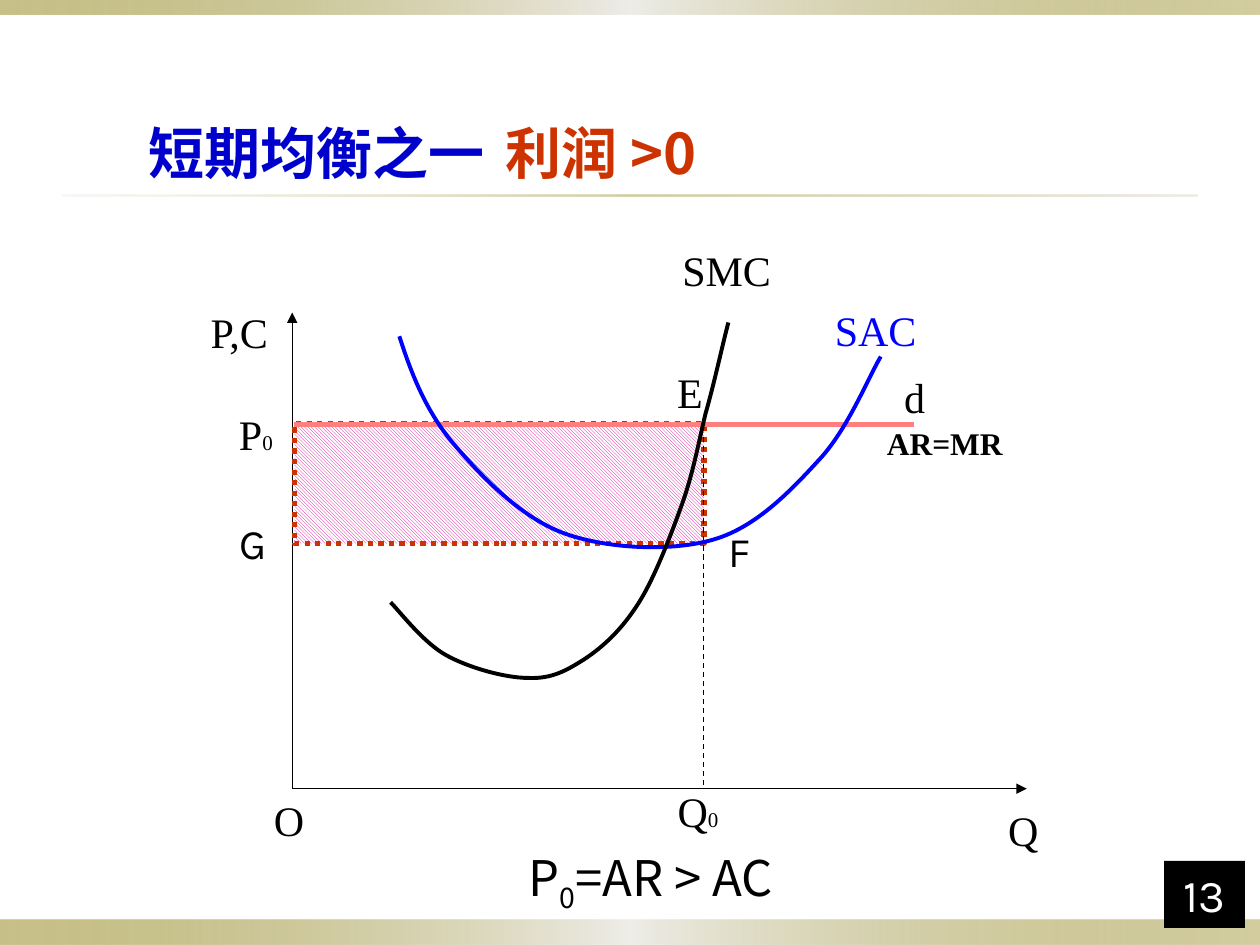
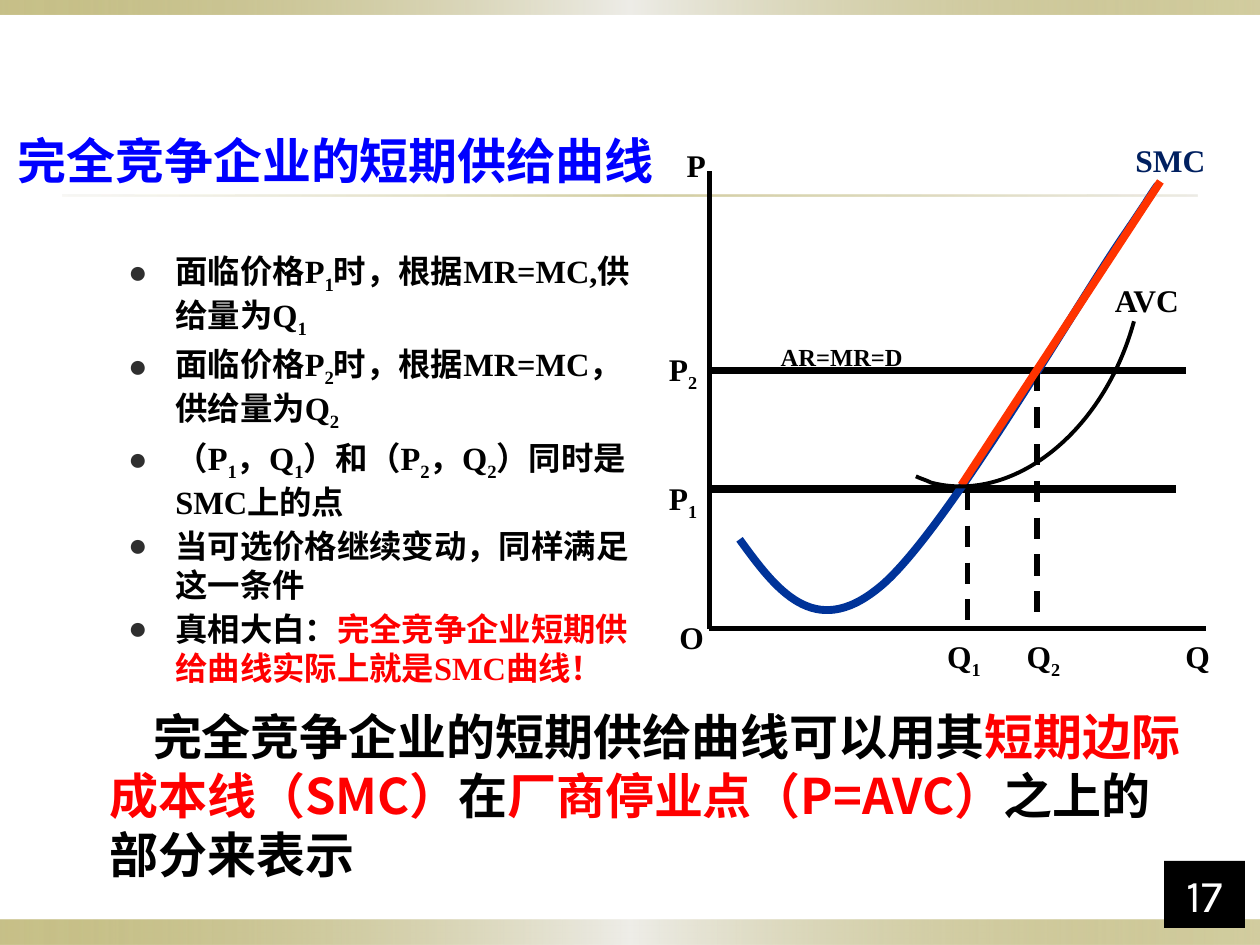
"""Build two slides on short-run equilibrium and supply under perfect competition."""
from dataclasses import dataclass, replace
from typing import NamedTuple, Optional

from lxml import etree
from pptx import Presentation
from pptx import util as u
from pptx.dml.color import RGBColor
from pptx.enum import dml, shapes, text
from pptx.oxml.ns import qn

CENTER, LEFT = text.PP_ALIGN.CENTER, text.PP_ALIGN.LEFT
MIDDLE, TOP, BOTTOM = text.MSO_ANCHOR.MIDDLE, text.MSO_ANCHOR.TOP, text.MSO_ANCHOR.BOTTOM
DASH, DOT = dml.MSO_LINE.DASH, dml.MSO_LINE.ROUND_DOT


@dataclass(frozen=True)
class Theme:
    black: str = "000000"
    white: str = "FFFFFF"
    blue: str = "0000FF"
    title_blue: str = "0000CC"
    rust: str = "CC3300"
    red: str = "FF0000"
    demand: str = "FF7F7F"
    hatch: str = "D60093"
    marginal: str = "003399"
    marginal_label: str = "002060"
    supply: str = "FF3300"
    bullet: str = "2F2F2F"
    olive: str = "918415"
    pale: str = "EEEDE8"
    sand: str = "DCD9CC"
    serif: str = "Times New Roman"
    sans: str = "Karla"
    cjk: str = "Noto Sans CJK SC"
    formula_font: str = "Noto Sans CJK JP"
    title_font: str = "Arial"
    title: float = 32
    heading: float = 28
    number: float = 26
    label: float = 24
    body: float = 18.5
    small: float = 18
    caption: float = 14
    subscript: float = 12


T = Theme()


@dataclass(frozen=True)
class Style:
    size: float
    font: str = T.serif
    color: str = T.black
    bold: bool = False


class Run(NamedTuple):
    text: str
    color: Optional[str] = None
    size: Optional[float] = None
    sub: bool = False


class Box(NamedTuple):
    left: float
    top: float
    width: float
    height: float


@dataclass(frozen=True)
class Label:
    box: Box
    paragraphs: list[list[Run]]
    style: Style
    align: text.PP_ALIGN = LEFT
    anchor: text.MSO_ANCHOR = TOP
    wrap: bool = False
    margins: bool = True
    indent: float = 0
    bullets: bool = False


class Stroke(NamedTuple):
    color: str
    width: float
    dash: Optional[dml.MSO_LINE] = None
    arrow: bool = False


class Segment(NamedTuple):
    start: tuple[float, float]
    end: tuple[float, float]
    stroke: Stroke


class Curve(NamedTuple):
    points: list[tuple[float, float]]
    stroke: Stroke


class Stop(NamedTuple):
    position: int
    color: str
    alpha: int = 100


AXIS_LABEL = Style(T.label)
KARLA_LABEL = replace(AXIS_LABEL, font=T.sans)
SMALL = Style(T.small, bold=True)
BODY = replace(SMALL, size=T.body)
TITLE = Style(T.title, T.cjk, T.title_blue, True)
HEADING = Style(T.heading, T.cjk, bold=True)
BAND = [Stop(0, T.olive, 50), Stop(50, T.pale), Stop(100, T.olive, 40)]
RULE = [Stop(0, T.sand, 20), Stop(50, T.olive, 40), Stop(100, T.sand, 50)]


def child(parent, tag: str, **attrs):
    """Append a drawing element with the given attributes."""
    return etree.SubElement(parent, qn(f"a:{tag}"), attrs)


def rgb(value: str) -> RGBColor:
    """Turn a hex string into a colour."""
    return RGBColor.from_string(value)


def alternate(*parts: str) -> list[Run]:
    """Make runs in which every second part is a subscript."""
    return [Run(part, sub=i % 2 == 1) for i, part in enumerate(parts)]


def add_run(p, run: Run, style: Style) -> None:
    """Add one styled run to a paragraph."""
    r = p.add_run()
    r.text = run.text
    f = r.font
    f.size, f.name, f.bold = u.Pt(run.size or style.size), style.font, style.bold
    f.color.rgb = rgb(run.color or style.color)
    rPr = r._r.get_or_add_rPr()
    child(rPr, "ea", typeface=T.cjk)
    if run.sub:
        rPr.set("baseline", "-25000")


def add_bullet(p) -> None:
    """Give a paragraph a hanging round bullet."""
    p.space_before = u.Pt(3)
    pPr = p._p.get_or_add_pPr()
    pPr.set("marL", str(u.Pt(27)))
    pPr.set("indent", str(-u.Pt(27)))
    child(child(pPr, "buClr"), "srgbClr", val=T.bullet)
    child(pPr, "buFont", typeface=T.serif)
    child(pPr, "buChar", char="●")


def fill_text(tf, label: Label) -> None:
    """Write a label's paragraphs into a text frame."""
    tf.word_wrap, tf.vertical_anchor = label.wrap, label.anchor
    if not label.margins:
        tf.margin_left = tf.margin_right = tf.margin_top = tf.margin_bottom = 0
    for i, runs in enumerate(label.paragraphs):
        p = tf.add_paragraph() if i else tf.paragraphs[0]
        p.alignment = label.align
        if label.indent:
            p._p.get_or_add_pPr().set("indent", str(u.Pt(label.indent)))
        if label.bullets:
            add_bullet(p)
        for run in runs:
            add_run(p, run, label.style)


def add_label(s, label: Label) -> None:
    """Add a text box."""
    fill_text(s.shapes.add_textbox(*map(u.Pt, label.box)).text_frame, label)


def add_rect(s, box: Box):
    """Add a plain rectangle without outline or shadow."""
    sp = s.shapes.add_shape(shapes.MSO_SHAPE.RECTANGLE, *map(u.Pt, box))
    sp.shadow.inherit = False
    sp.line.fill.background()
    return sp


def add_gradient(s, box: Box, stops: list[Stop]) -> None:
    """Add a horizontal gradient strip with translucent stops."""
    sp = add_rect(s, box)
    sp.fill.gradient()
    sp.fill.gradient_angle = 0
    gs_list = next(sp._element.spPr.iter(qn("a:gsLst")))
    for old in list(gs_list):
        gs_list.remove(old)
    for stop in stops:
        gs = child(gs_list, "gs", pos=str(stop.position * 1000))
        child(child(gs, "srgbClr", val=stop.color), "alpha", val=str(stop.alpha * 1000))


def apply_stroke(line, stroke: Stroke) -> None:
    """Set colour, width, dash and arrowhead of a line."""
    line.color.rgb, line.width = rgb(stroke.color), u.Pt(stroke.width)
    if stroke.dash:
        line.dash_style = stroke.dash
    if stroke.arrow:
        child(line._get_or_add_ln(), "tailEnd", type="triangle")


def add_segment(s, segment: Segment) -> None:
    """Add a straight connector."""
    ends = map(u.Pt, segment.start + segment.end)
    sp = s.shapes.add_connector(shapes.MSO_CONNECTOR.STRAIGHT, *ends)
    apply_stroke(sp.line, segment.stroke)
    child(sp._element.spPr, "effectLst")


def add_curve(s, curve: Curve) -> None:
    """Add an open outline of chained cubic curves."""
    start, *controls = [(u.Pt(x), u.Pt(y)) for x, y in curve.points]
    builder = s.shapes.build_freeform(*start)
    builder.add_line_segments(controls, close=False)
    sp = builder.convert_to_shape()
    sp.shadow.inherit = False
    sp.fill.background()
    apply_stroke(sp.line, curve.stroke)
    outline = next(sp._element.spPr.iter(qn("a:lnTo"))).getparent()
    for i, step in enumerate(outline.findall(qn("a:lnTo"))):
        if i % 3 == 0:
            bezier = child(outline, "cubicBezTo")
        bezier.append(step[0])
        outline.remove(step)


def new_slide(prs, number: str):
    """Add a blank slide with bands, title rule and page number."""
    s = prs.slides.add_slide(prs.slide_layouts[6])
    add_gradient(s, Box(0, 525.6, 720, 14.4), BAND)
    add_gradient(s, Box(0, 0, 720, 8.3), BAND)
    add_gradient(s, Box(36, 111, 648, 1.2), RULE)
    box = Box(665.3, 492, 46.1, 38.2)
    sp = add_rect(s, box)
    sp.fill.solid()
    sp.fill.fore_color.rgb = rgb(T.black)
    fill_text(sp.text_frame, Label(box, [[Run(number)]], Style(T.number, T.sans, T.white),
                                   CENTER, BOTTOM, wrap=True))
    return s


def equilibrium_slide(prs) -> None:
    """Draw the short-run equilibrium with positive profit."""
    s = new_slide(prs, "13")
    add_label(s, Label(Box(282, 66.2, 157, 41.8), [[Run("利润 >0")]],
                       replace(TITLE, color=T.rust), anchor=MIDDLE))
    add_label(s, Label(Box(77.8, 66.2, 228.2, 41.8), [[Run("短期均衡之一")]], TITLE, anchor=MIDDLE))
    origin, axis = (167, 450.7), Stroke(T.black, 0.75, arrow=True)
    for tip in ((167, 178.6), (586.8, 450.7)):
        add_segment(s, Segment(origin, tip, axis))
    profit = add_rect(s, Box(168.3, 242.2, 234, 68.4))
    profit.fill.patterned()
    profit.fill.pattern = dml.MSO_PATTERN.LIGHT_DOWNWARD_DIAGONAL
    profit.fill.fore_color.rgb, profit.fill.back_color.rgb = rgb(T.hatch), rgb(T.white)
    apply_stroke(profit.line, Stroke(T.rust, 3, DOT))
    add_segment(s, Segment((167.8, 242.6), (522, 242.6), Stroke(T.demand, 3)))
    add_segment(s, Segment((402, 249.8), (402, 450), Stroke(T.black, 0.75, DASH)))
    add_curve(s, Curve([
        (228.2, 192.2), (234.7, 212.4), (242.6, 233.3), (257.8, 252), (273.6, 270.7),
        (296.6, 295.2), (321.8, 304.6), (347, 313.9), (384.5, 315.4), (408.2, 308.2),
        (432.7, 301), (452.9, 279.4), (468.7, 262.1), (484.6, 244.8), (496.1, 216),
        (503.3, 203.8)], Stroke(T.blue, 2.25)))
    add_curve(s, Curve([
        (223.2, 344.2), (228.2, 349.2), (241.9, 367.2), (254.9, 374.4), (267.8, 381.6),
        (288.7, 387.4), (301.7, 387.4), (315.4, 388.1), (324, 383), (334.1, 376.6),
        (344.9, 369.4), (355, 360), (364.3, 345.6), (373.7, 331.2), (383, 306.7),
        (389.5, 288.7), (396, 270.7), (398.9, 254.2), (403.2, 236.2), (408.2, 218.9),
        (413.3, 195.1), (416.2, 184.3)], Stroke(T.black, 2.25)))
    zero = Run("0", size=T.subscript)
    for box, runs, style in (
        (Box(275.8, 485.3, 192.2, 36), alternate("P", "0", "=AR > AC"), Style(T.heading, T.formula_font)),
        (Box(371.5, 204.2, 45.4, 39.6), [Run("E")], AXIS_LABEL),
        (Box(400, 294.8, 45.4, 39.6), [Run("F")], KARLA_LABEL),
        (Box(121.7, 290.2, 45.4, 39.6), [Run("G")], KARLA_LABEL),
        (Box(563.8, 462.2, 41.8, 23.8), [Run("Q")], AXIS_LABEL),
        (Box(144.2, 456.5, 41.8, 23.8), [Run("O")], AXIS_LABEL),
        (Box(467.3, 167.2, 66.2, 41.8), [Run("SAC", T.blue)], AXIS_LABEL),
        (Box(382.1, 133.2, 66.2, 41.8), [Run("SMC")], AXIS_LABEL),
        (Box(125.3, 231.8, 41.8, 31.7), [Run("P"), zero], AXIS_LABEL),
        (Box(501.8, 211, 41.8, 31.7), [Run("d")], AXIS_LABEL),
        (Box(378, 447.6, 41.8, 31.7), [Run("Q"), zero], AXIS_LABEL),
    ):
        add_label(s, Label(box, [runs], style, CENTER, MIDDLE))
    add_label(s, Label(Box(119.7, 172.8, 34, 33.8), [[Run("P,C")]], AXIS_LABEL, CENTER, MIDDLE,
                       margins=False))
    add_label(s, Label(Box(492, 242.6, 95.8, 21.6), [[Run("AR=MR")]], SMALL, CENTER,
                       wrap=True, margins=False))


def supply_slide(prs) -> None:
    """Draw the short-run supply curve with its explanation."""
    s = new_slide(prs, "17")
    add_label(s, Label(Box(66.2, 139.7, 311.8, 239.8), [
        alternate("面临价格P", "1", "时，根据MR=MC,供给量为Q", "1"),
        alternate("面临价格P", "2", "时，根据MR=MC，供给量为Q", "2"),
        alternate("（P", "1", "，Q", "1", "）和（P", "2", "，Q", "2", "）同时是SMC上的点"),
        [Run("当可选价格继续变动，同样满足这一条件")],
        [Run("真相大白："), Run("完全竞争企业短期供给曲线实际上就是SMC曲线！", T.red)],
    ], BODY, wrap=True, bullets=True))
    add_label(s, Label(Box(55.4, 400.3, 632.9, 108.7), [[
        Run("完全竞争企业的短期供给曲线可以用其"), Run("短期边际成本线（SMC）", T.red), Run("在"),
        Run("厂商停业点（P=AVC）", T.red), Run("之上的部分来表示"),
    ]], HEADING, wrap=True, indent=25))
    add_label(s, Label(Box(2.9, 71.3, 382.3, 41), [[Run("完全竞争企业的短期供给曲线")]],
                       replace(HEADING, font=T.title_font, color=T.blue)))
    left, base, p1, p2 = 405.4, 359.3, 279.4, 211.7
    axis, price, drop = Stroke(T.black, 3), Stroke(T.black, 4.5), Stroke(T.black, 3, DASH)
    for start, end, stroke in (
        ((left, 97.9), (left, base), axis), ((left, base), (689, base), axis),
        ((left, p2), (677.5, p2), price), ((left, p1), (671.8, p1), price),
    ):
        add_segment(s, Segment(start, end, stroke))
    add_curve(s, Curve([
        (422.6, 308.2), (443.5, 337), (465.1, 365.8), (501.8, 336.2), (538.6, 307.4),
        (617.8, 169.2), (643.7, 132.5), (668.9, 95), (661.7, 105.1), (655.2, 115.2)],
        Stroke(T.marginal, 4.5)))
    for x, y in ((553, p1), (592.6, p2)):
        add_segment(s, Segment((x, y), (x, base), drop))
    for box, runs in (
        (Box(381.1, 349.4, 28.8, 28.8), [Run("O")]),
        (Box(670.3, 360.7, 28.8, 28.8), [Run("Q")]),
        (Box(385.2, 79.9, 25.2, 28.8), [Run("P")]),
        (Box(375.1, 270, 31.7, 28.8), alternate("P", "1")),
        (Box(375.1, 196.6, 31.7, 28.8), alternate("P", "2")),
        (Box(534.2, 360.7, 34.6, 28.8), alternate("Q", "1")),
        (Box(579.6, 360.7, 34.6, 28.8), alternate("Q", "2")),
        (Box(641.7, 77, 54.7, 28.8), [Run("SMC", T.marginal_label)]),
        (Box(630, 157, 53.3, 28.8), [Run("AVC")]),
    ):
        add_label(s, Label(box, [runs], SMALL))
    add_label(s, Label(Box(432, 191.8, 102.2, 23.8), [[Run("AR=MR=D")]],
                       replace(SMALL, size=T.caption), wrap=True, indent=7))
    add_segment(s, Segment((549.4, 277.2), (663.1, 103.7), Stroke(T.supply, 4.5)))
    add_curve(s, Curve([
        (648, 183.6), (630.7, 247), (578.9, 288), (532.1, 275.8), (529.2, 274.3),
        (526.3, 273.6), (523.4, 272.2)], Stroke(T.black, 2.25)))


def main() -> None:
    """Build and save the presentation."""
    prs = Presentation()
    prs.slide_width, prs.slide_height = u.Pt(720), u.Pt(540)
    equilibrium_slide(prs)
    supply_slide(prs)
    prs.save("out.pptx")


if __name__ == "__main__":
    main()
